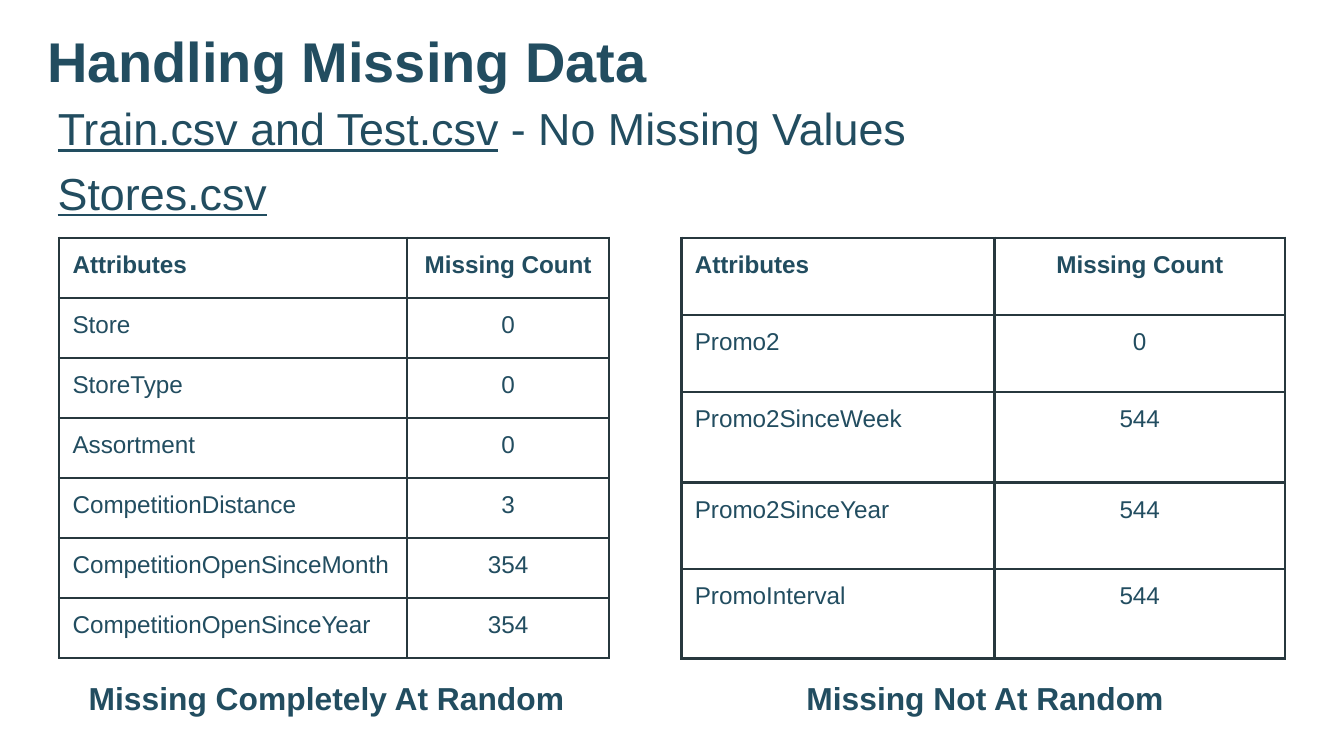
from lxml import etree
from pptx import Presentation
from pptx.dml.color import RGBColor
from pptx.enum.text import MSO_ANCHOR, MSO_AUTO_SIZE, PP_ALIGN
from pptx.oxml.ns import qn
from pptx.util import Inches, Pt

LEFT, CENTER = PP_ALIGN.LEFT, PP_ALIGN.CENTER
TOP, NO_FIT = MSO_ANCHOR.TOP, MSO_AUTO_SIZE.NONE
INK, RULE = "224D60", "27383E"


def style(par, size, bold=False, align=LEFT):
    par.alignment = align
    font = par.font
    font.name, font.size, font.bold = "Arial", Pt(size), bold
    font.color.rgb = RGBColor.from_string(INK)


def place(shape, left, top, width, height):
    """Position a text shape and set its frame; return its first paragraph."""
    shape.left, shape.top = Inches(left), Inches(top)
    shape.width, shape.height = Inches(width), Inches(height)
    frame = shape.text_frame
    frame.word_wrap, frame.auto_size = True, NO_FIT
    frame.vertical_anchor = TOP
    frame.margin_left = frame.margin_right = Inches(0.07)
    frame.margin_top = frame.margin_bottom = Inches(0.04)
    return frame.paragraphs[0]


# A 16:9 slide
prs = Presentation()
prs.slide_width, prs.slide_height = Inches(10), Inches(10 * 9 / 16)
slide = prs.slides.add_slide(prs.slide_layouts[5])
shapes = slide.shapes

# Title
par = place(shapes.title, 0.28, 0.16, 8.73, 0.58)
par.text = "Handling Missing Data"
style(par, 30, bold=True)

# File headings: underlined name, plain remark
heads = [
    ("Train.csv and Test.csv", " - No Missing Values", 0.71, 6.59),
    ("Stores.csv", "", 1.19, 1.97),
]
for name, note, top, width in heads:
    par = place(shapes.add_textbox(0, 0, 0, 0), 0.36, top, width, 0.48)
    style(par, 24)
    run = par.add_run()
    run.text, run.font.underline = name, True
    if note:
        par.add_run().text = note

# Tables of missing counts: left edge, column widths, row heights, data
tables = [
    (0.44, [2.59, 1.5], [3.13 / 7] * 7, [
        ("Store", 0),
        ("StoreType", 0),
        ("Assortment", 0),
        ("CompetitionDistance", 3),
        ("CompetitionOpenSinceMonth", 354),
        ("CompetitionOpenSinceYear", 354),
    ]),
    (5.07, [2.33, 2.16], [0.57, 0.57, 0.67, 0.64, 0.66], [
        ("Promo2", 0),
        ("Promo2SinceWeek", 544),
        ("Promo2SinceYear", 544),
        ("PromoInterval", 544),
    ]),
]
for left, widths, heights, data in tables:
    rows = [("Attributes", "Missing Count")] + data
    table = shapes.add_table(
        len(rows), 2, Inches(left), Inches(1.77),
        Inches(sum(widths)), Inches(3.13)).table
    for col, width in zip(table.columns, widths):
        col.width = Inches(width)
    for row, height in zip(table.rows, heights):
        row.height = Inches(height * 3.13 / sum(heights))
    for r, values in enumerate(rows):
        for c, value in enumerate(values):
            cell = table.cell(r, c)
            cell.text = str(value)
            style(cell.text_frame.paragraphs[0], 13, bold=r == 0,
                  align=CENTER if c else LEFT)
            cell.margin_left = cell.margin_right = Inches(0.1)
            cell.margin_top = cell.margin_bottom = Inches(0.1)
            props = cell._tc.get_or_add_tcPr()
            for side in ("lnL", "lnR", "lnT", "lnB"):
                line = etree.SubElement(props, qn("a:" + side), w=str(Pt(1.5)))
                fill = etree.SubElement(line, qn("a:solidFill"))
                etree.SubElement(fill, qn("a:srgbClr"), val=RULE)
            cell.fill.background()

# Captions
captions = [
    ("Missing Completely At Random", 0.59, 3.79),
    ("Missing Not At Random", 5.93, 2.95),
]
for text, left, width in captions:
    par = place(shapes.add_textbox(0, 0, 0, 0), left, 5.01, width, 0.36)
    par.text = text
    style(par, 17, bold=True)

prs.save("out.pptx")
